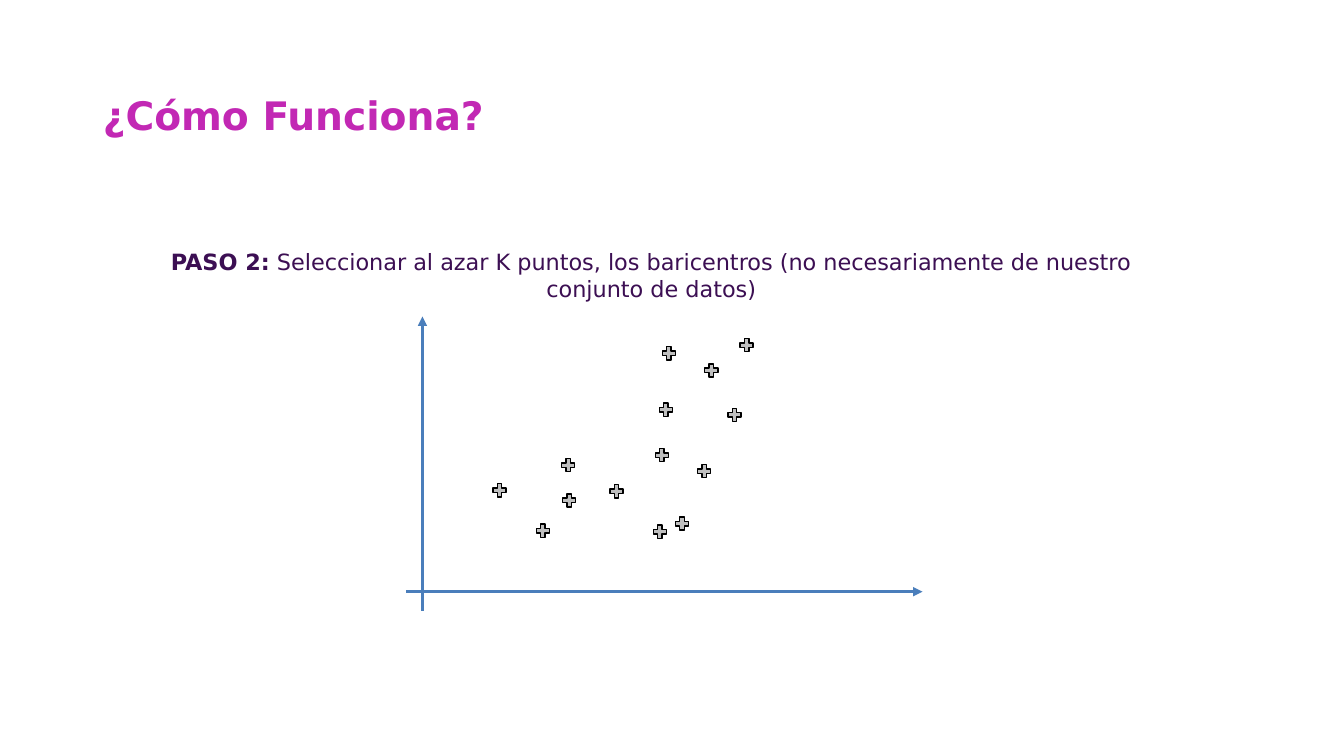
from lxml import etree
from pptx import Presentation
from pptx.dml.color import RGBColor
from pptx.enum.shapes import MSO_CONNECTOR, MSO_SHAPE
from pptx.enum.text import MSO_ANCHOR, MSO_AUTO_SIZE, PP_ALIGN
from pptx.oxml.ns import qn
from pptx.util import Pt

LINE = MSO_CONNECTOR.STRAIGHT
CROSS = MSO_SHAPE.CROSS
MIDDLE = MSO_ANCHOR.MIDDLE
GROW = MSO_AUTO_SIZE.SHAPE_TO_FIT_TEXT
CENTER = PP_ALIGN.CENTER

SCALE = 9144  # 100 px to the inch
FONT = "DejaVu Sans"
MARK = 13
# Left and top of each data point
POINTS = [
    (722, 405), (489, 480), (532, 520), (557, 455), (654, 400),
    (699, 361), (650, 445), (670, 513), (558, 490), (734, 336),
    (605, 481), (648, 521), (692, 461), (657, 344),
]


def px(*vals):
    return [val * SCALE for val in vals]


def color(code):
    return RGBColor.from_string(code)


def style(run, size, code, bold):
    run.font.name = FONT
    run.font.size = Pt(size)
    run.font.bold = bold
    run.font.color.rgb = color(code)


def add_title(slide, text):
    title = slide.shapes.title
    title.left, title.top, title.width, title.height = px(92, 71, 1150, 91)
    frame = title.text_frame
    frame.text = text
    frame.word_wrap = True
    frame.vertical_anchor = MIDDLE
    para = frame.paragraphs[0]
    para.alignment = PP_ALIGN.LEFT
    para.line_spacing = 0.9
    style(para.runs[0], 28, "C228B4", True)


def add_step(slide, label, text):
    frame = slide.shapes.add_textbox(*px(150, 241, 992, 64)).text_frame
    frame.word_wrap = True
    frame.auto_size = GROW
    inset, = px(5)
    frame.margin_left = frame.margin_right = inset
    frame.margin_top = frame.margin_bottom = inset
    para = frame.paragraphs[0]
    para.alignment = CENTER
    for part, bold in ((label, True), (text, False)):
        run = para.add_run()
        run.text = part
        style(run, 16, "3C0F53", bold)


def add_axis(slide, *ends):
    axis = slide.shapes.add_connector(LINE, *px(*ends))
    axis.line.color.rgb = color("4A7EBB")
    axis.line.width = Pt(2.25)
    # Arrowhead and no shadow
    tail = etree.SubElement(axis.line._get_or_add_ln(), qn("a:tailEnd"))
    tail.set("type", "triangle")
    etree.SubElement(axis._element.spPr, qn("a:effectLst"))


def add_point(slide, left, top):
    mark = slide.shapes.add_shape(CROSS, *px(left, top, MARK, MARK))
    mark.adjustments[0] = 0.33
    mark.shadow.inherit = False
    mark.fill.solid()
    mark.fill.fore_color.rgb = color("BFBFBF")
    mark.line.color.rgb = color("000000")
    mark.line.width = Pt(1)


def main():
    deck = Presentation()
    deck.slide_width, deck.slide_height = px(1333, 750)
    slide = deck.slides.add_slide(deck.slide_layouts[5])

    # Heading and step
    add_title(slide, "¿Cómo Funciona?")
    add_step(slide, "PASO 2:",
             " Seleccionar al azar K puntos, los baricentros "
             "(no necesariamente de nuestro conjunto de datos)")

    # Scatter: axes, then points
    add_axis(slide, 419, 606, 419, 314)
    add_axis(slide, 403, 587, 915, 587)
    for left, top in POINTS:
        add_point(slide, left, top)

    deck.save("out.pptx")


if __name__ == "__main__":
    main()
